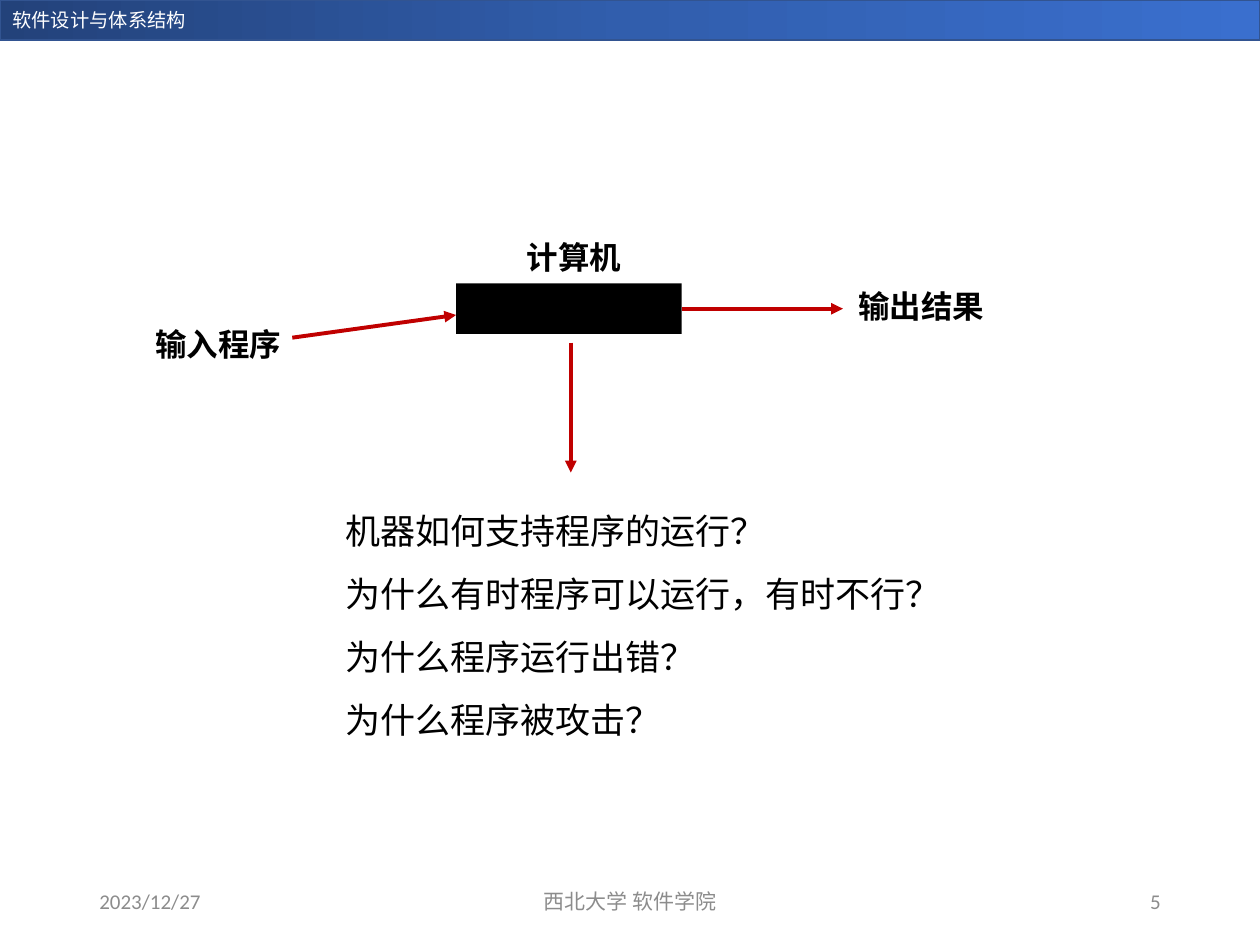
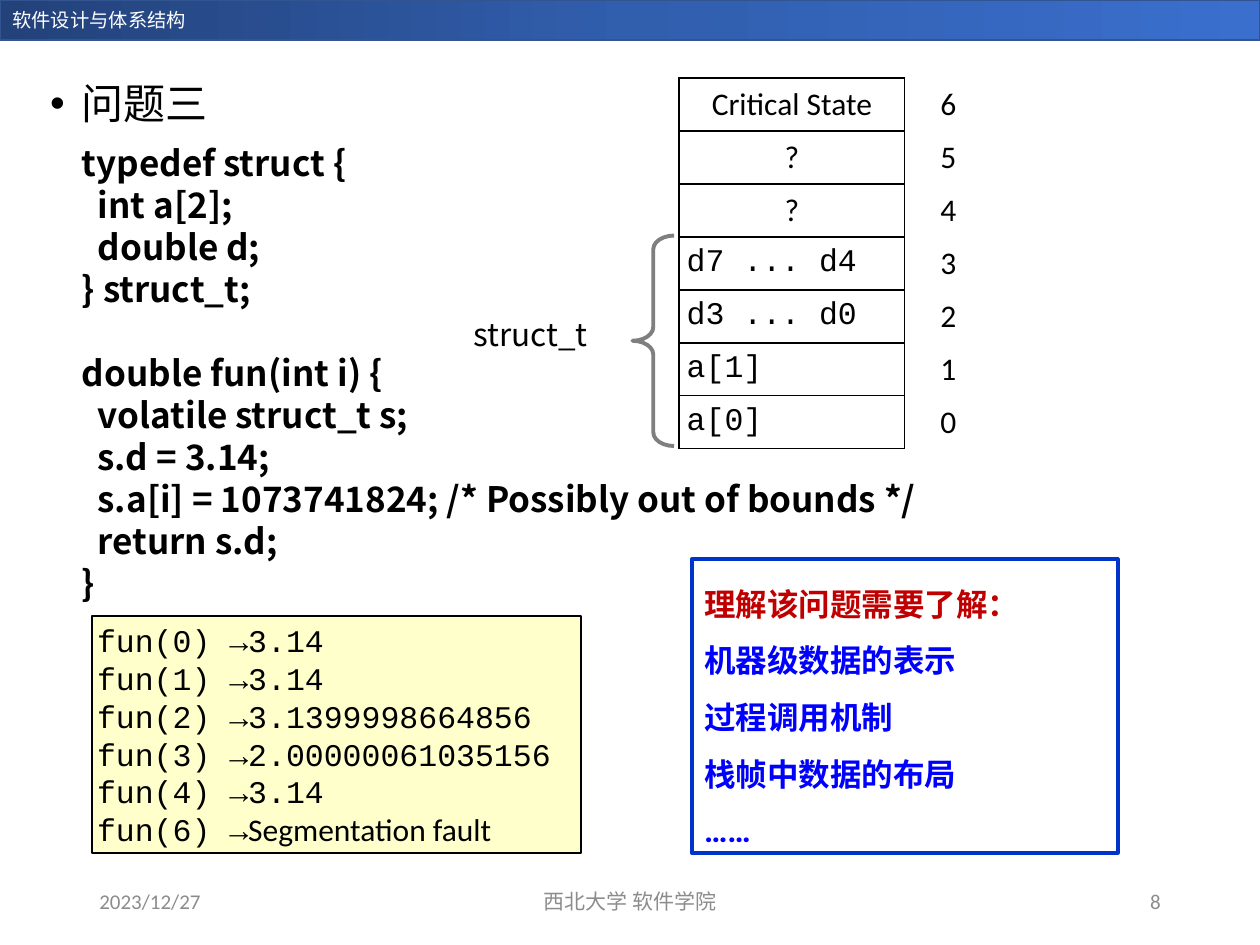
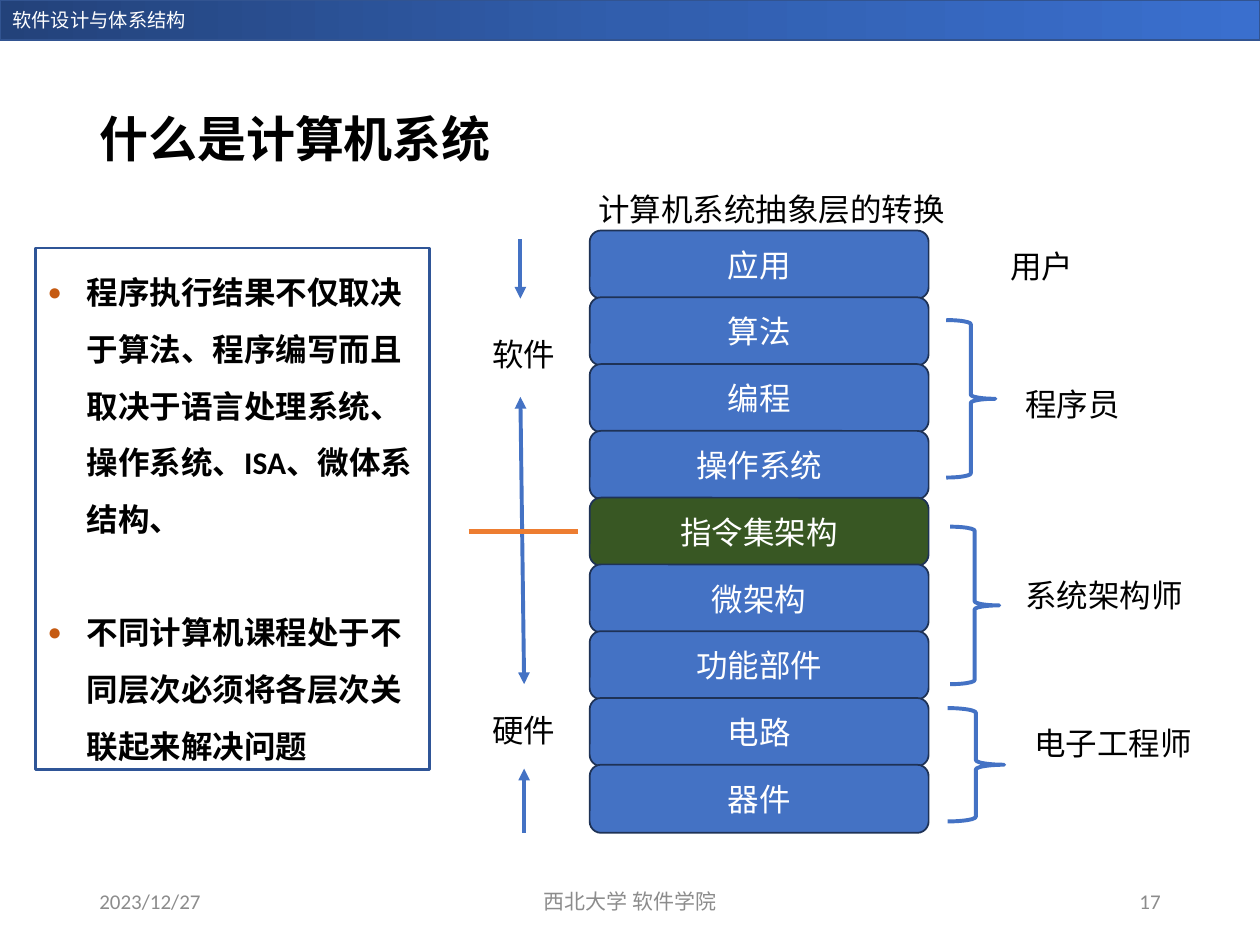
"""Builds three lecture slides on how programs run inside a computer system."""
from copy import deepcopy
from dataclasses import dataclass, replace

from lxml.etree import SubElement
from pptx import Presentation
from pptx.dml.color import RGBColor
from pptx.enum.shapes import MSO_CONNECTOR as Connector, MSO_SHAPE as Shape
from pptx.enum.text import MSO_ANCHOR as Anchor, PP_ALIGN as Align
from pptx.oxml.ns import qn
from pptx.util import Inches, Pt

BLACK = RGBColor(0x00, 0x00, 0x00)
WHITE = RGBColor(0xFF, 0xFF, 0xFF)
GRAY = RGBColor(0x8C, 0x8C, 0x8C)
BRACE_GRAY = RGBColor(0x7F, 0x7F, 0x7F)
RED = RGBColor(0xC0, 0x00, 0x00)
ORANGE = RGBColor(0xED, 0x7D, 0x31)
BULLET_ORANGE = RGBColor(0xC5, 0x5A, 0x11)
CREAM = RGBColor(0xFF, 0xFF, 0xCC)
GREEN = RGBColor(0x38, 0x57, 0x23)
BLUE = RGBColor(0x44, 0x72, 0xC4)
PURE_BLUE = RGBColor(0x00, 0x00, 0xFF)
FRAME_BLUE = RGBColor(0x00, 0x33, 0xCC)
PANEL_BLUE = RGBColor(0x2F, 0x55, 0x97)
LAYER_EDGE = RGBColor(0x1E, 0x32, 0x56)
BAND_EDGE = RGBColor(0x32, 0x54, 0x91)
BAND_STOPS = (RGBColor(0x23, 0x42, 0x7A), RGBColor(0x31, 0x5E, 0xAD), RGBColor(0x3A, 0x6F, 0xCE))

SANS, MONO, CJK, ROBOTO = "Calibri", "Courier New", "Noto Sans CJK SC", "Roboto"
COLUMNS, ROWS = 100, 75
CELL = Inches(0.1)


def grid(*lengths):
    """Turn grid units into slide lengths."""
    return [round(length * CELL) for length in lengths]


@dataclass(frozen=True)
class Style:
    """Look of a run and of the paragraph that it opens."""
    size: float = 18
    font: str = SANS
    color: RGBColor = BLACK
    bold: bool = False
    align: Align = Align.LEFT
    spacing: float = 1.0
    before: float = 0
    indent: float = 0
    hanging: float = 0
    bullet: str = ""
    bullet_color: RGBColor = BLACK
    bullet_percent: int = 100


PLAIN = Style()
FOOTER = Style(12, color=GRAY)
HEADER = Style(11, color=WHITE)
TITLE = Style(28, CJK, bold=True, spacing=0.9)
FLOW_LABEL = Style(font=CJK, bold=True, align=Align.RIGHT)
QUESTION = Style(20, CJK, spacing=1.5)
TOPIC = Style(24, CJK, spacing=0.9, indent=2.5, hanging=2.5, bullet="•")
CODE = Style(20, CJK, bold=True)
OUTPUT = Style(font=MONO)
NOTE = Style(font=ROBOTO, color=PURE_BLUE, bold=True, spacing=1.5)
POINT = Style(bold=True, spacing=1.5, indent=3.1, hanging=3.1, bullet="●",
              bullet_color=BULLET_ORANGE, bullet_percent=75)
LAYER = Style(font=CJK, color=WHITE, align=Align.CENTER)


class Deck:
    """Holds the presentation, the shared look and the current slide."""

    def __init__(self):
        self.presentation = Presentation()
        self.presentation.slide_width, self.presentation.slide_height = grid(COLUMNS, ROWS)
        self.slide = None

    def new_slide(self, number):
        """Add a slide with its band and footers."""
        self.slide = self.presentation.slides.add_slide(self.presentation.slide_layouts[6])
        self.band()
        self.text(0, 0.2, 24.9, 2.9, "软件设计与体系结构", HEADER)
        for left, width, text, align in (
            (6.9, 22.5, "2023/12/27", Align.LEFT),
            (33.1, 33.8, "西北大学 软件学院", Align.CENTER),
            (70.6, 22.5, str(number), Align.RIGHT),
        ):
            self.text(left, 69.5, width, 4, text, replace(FOOTER, align=align), Anchor.MIDDLE)

    def band(self):
        """Draw the gradient band along the top."""
        band = self.shape(Shape.RECTANGLE, 0, 0, COLUMNS, 3.2, line=BAND_EDGE)
        band.fill.gradient()
        band.fill.gradient_angle = 0
        stop_list = band.element.find(".//" + qn("a:gsLst"))
        stop_list.insert(1, deepcopy(stop_list[0]))
        for index, (stop, color) in enumerate(zip(band.fill.gradient_stops, BAND_STOPS)):
            stop.color.rgb = color
            stop.position = index / 2

    def fill_text(self, frame, paragraphs, anchor=Anchor.TOP, inset=None):
        """Fill a text frame with paragraphs, each a list of (text, style) runs."""
        frame.word_wrap = True
        frame.vertical_anchor = anchor
        if inset is not None:
            margin, = grid(inset)
            frame.margin_left = frame.margin_right = margin
            frame.margin_top = frame.margin_bottom = margin
        for index, runs in enumerate(paragraphs):
            paragraph = frame.add_paragraph() if index else frame.paragraphs[0]
            self.style_paragraph(paragraph, runs[0][1])
            for text, style in runs:
                self.add_text_run(paragraph, text, style)

    def style_paragraph(self, paragraph, style):
        """Set alignment, spacing, indent and bullet of a paragraph."""
        paragraph.alignment = style.align
        paragraph.line_spacing = style.spacing
        paragraph.space_before = Pt(style.before)
        properties = paragraph._p.get_or_add_pPr()
        indent, hanging = grid(style.indent, style.hanging)
        properties.set("marL", str(indent))
        properties.set("indent", str(-hanging))
        if style.bullet:
            color = SubElement(properties, qn("a:buClr"))
            SubElement(color, qn("a:srgbClr"), val=str(style.bullet_color))
            SubElement(properties, qn("a:buSzPct"), val=str(style.bullet_percent * 1000))
            SubElement(properties, qn("a:buFont"), typeface="Arial")
            SubElement(properties, qn("a:buChar"), char=style.bullet)

    def add_text_run(self, paragraph, text, style):
        """Add one run of text."""
        run = paragraph.add_run()
        run.text = text
        run.font.size = Pt(style.size)
        run.font.name = style.font
        run.font.bold = style.bold
        run.font.color.rgb = style.color
        SubElement(run._r.get_or_add_rPr(), qn("a:ea"), typeface=CJK)

    def text(self, left, top, width, height, text, style=PLAIN, anchor=Anchor.TOP):
        """Add a text box with one line of text."""
        self.paragraphs(left, top, width, height, [[(text, style)]], anchor)

    def paragraphs(self, left, top, width, height, paragraphs, anchor=Anchor.TOP, inset=None):
        """Add a text box with several paragraphs."""
        box = self.slide.shapes.add_textbox(*grid(left, top, width, height))
        self.fill_text(box.text_frame, paragraphs, anchor, inset)

    def shape(self, kind, left, top, width, height, fill=None, line=None, weight=1.0):
        """Add a preset shape without shadow."""
        shape = self.slide.shapes.add_shape(kind, *grid(left, top, width, height))
        shape.shadow.inherit = False
        if fill is None:
            shape.fill.background()
        else:
            shape.fill.solid()
            shape.fill.fore_color.rgb = fill
        if line is None:
            shape.line.fill.background()
        else:
            shape.line.color.rgb = line
            shape.line.width = Pt(weight)
        return shape

    def line(self, start, end, color, weight=2.25, heads=("tailEnd",)):
        """Add a straight line with arrowheads at the named ends."""
        connector = self.slide.shapes.add_connector(Connector.STRAIGHT, *grid(*start, *end))
        connector.line.color.rgb = color
        connector.line.width = Pt(weight)
        properties = connector.element.spPr
        outline = properties.find(qn("a:ln"))
        for head in heads:
            SubElement(outline, qn("a:" + head), type="triangle")
        SubElement(properties, qn("a:effectLst"))
        return connector

    def table(self, left, top, widths, row_height, rows, bordered):
        """Add a table of (text, style) cells; bordered gives the sides drawn per column."""
        height = row_height * len(rows)
        frame = self.slide.shapes.add_table(
            len(rows), len(widths), *grid(left, top, sum(widths), height))
        table = frame.table
        table.first_row = table.horz_banding = False
        for column, width in zip(table.columns, grid(*widths)):
            column.width = width
        for row, contents in zip(table.rows, rows):
            row.height, = grid(row_height)
            for cell, content, sides in zip(row.cells, contents, bordered):
                self.fill_text(cell.text_frame, [[content]])
                cell.vertical_anchor = Anchor.MIDDLE
                margin, = grid(0.6)
                cell.margin_left = cell.margin_right = margin
                cell.margin_top = cell.margin_bottom = margin
                self.borders(cell, sides)

    def borders(self, cell, sides):
        """Draw the named sides of a cell and leave the others and the fill empty."""
        properties = cell._tc.get_or_add_tcPr()
        for side in "LRTB":
            border = SubElement(properties, qn("a:ln" + side), w=str(Pt(1)))
            if side in sides:
                fill = SubElement(border, qn("a:solidFill"))
                SubElement(fill, qn("a:srgbClr"), val=str(BLACK))
            else:
                SubElement(border, qn("a:noFill"))
        cell.fill.background()


def black_box_slide(deck):
    """The computer as a black box between program and result."""
    deck.new_slide(5)
    computer = deck.shape(Shape.RECTANGLE, 36.2, 22.5, 17.9, 4, fill=BLACK)
    deck.line((23.2, 26.8), (36.2, 25), RED)
    output = deck.line((54.1, 24.5), (66.9, 24.5), RED)
    output.begin_connect(computer, 3)
    deck.line((45.3, 27.2), (45.3, 37.5), RED)
    for left, top, width, label in (
        (9.2, 25.3, 14.1, "输入程序"),
        (65, 22.3, 14.1, "输出结果"),
        (40.1, 18.4, 10.2, "计算机"),
    ):
        deck.text(left, top, width, 4, label, FLOW_LABEL)
    questions = ("机器如何支持程序的运行？", "为什么有时程序可以运行，有时不行？",
                 "为什么程序运行出错？", "为什么程序被攻击？")
    deck.paragraphs(26.4, 38.3, 60.8, 20.4, [[(question, QUESTION)] for question in questions])


def stack_slide(deck):
    """A struct on the stack and what an index out of bounds does to it."""
    deck.new_slide(8)
    deck.text(3, 6.1, 86.2, 47.6, "问题三", TOPIC)

    inner = replace(CODE, indent=1.25)
    function = replace(CODE, before=24)
    code = (
        ("typedef struct {", CODE), ("int a[2];", inner), ("double d;", inner),
        ("} struct_t;", CODE), ("double fun(int i) {", function),
        ("volatile struct_t s;", inner), ("s.d = 3.14;", inner),
        ("s.a[i] = 1073741824; /* Possibly out of bounds */", inner),
        ("return s.d;", inner), ("}", CODE),
    )
    deck.paragraphs(5.8, 10.5, 84.7, 31.1, [[line] for line in code], inset=0.7)

    results = ((0, "3.14"), (1, "3.14"), (2, "3.1399998664856"),
               (3, "2.00000061035156"), (4, "3.14"))
    calls = [[(f"fun({index}) →{value}", OUTPUT)] for index, value in results]
    calls.append([("fun(6) →", OUTPUT), ("Segmentation fault", PLAIN)])
    panel = deck.shape(Shape.RECTANGLE, 7.3, 48.9, 38.8, 18.8, CREAM, BLACK)
    deck.fill_text(panel.text_frame, calls, inset=0.4)

    centered = replace(PLAIN, align=Align.CENTER)
    numbered = replace(PLAIN, align=Align.RIGHT)
    words = [(word, centered) for word in ("Critical State", "?", "?")]
    words += [(word, OUTPUT) for word in ("d7 ... d4", "d3 ... d0", "a[1]", "a[0]")]
    rows = [(word, (str(len(words) - 1 - index), numbered)) for index, word in enumerate(words)]
    deck.table(53.9, 6.2, (17.9, 4.7), 4.17, rows, ("LRTB", "L"))

    brace = deck.shape(Shape.LEFT_BRACE, 50.2, 18.7, 3.3, 16.7, line=BRACE_GRAY, weight=2.25)
    brace.adjustments[0] = 0.33
    deck.text(36.6, 24.5, 12.1, 4, "struct_t", replace(PLAIN, font=CJK))

    heading = ("理解该问题需要了解：", replace(NOTE, color=RED))
    topics = [(topic, NOTE) for topic in ("机器级数据的表示", "过程调用机制", "栈帧中数据的布局", "……")]
    notes = deck.shape(Shape.RECTANGLE, 54.9, 44.4, 33.8, 23.3, line=FRAME_BLUE, weight=2.25)
    deck.fill_text(notes.text_frame, [[item] for item in (heading, *topics)])


def layers_slide(deck):
    """The abstraction layers of a computer system and who works on them."""
    deck.new_slide(17)
    deck.text(6.9, 4, 86.2, 14.5, "什么是计算机系统", TITLE, Anchor.MIDDLE)

    points = (
        ("程序执行结果不仅取决于算法、程序编写而且取决于语言处理系统、操作系统、ISA、微体系结构、", POINT),
        ("不同计算机课程处于不同层次必须将各层次关联起来解决问题", replace(POINT, before=32.4)),
    )
    panel = deck.shape(Shape.RECTANGLE, 2.8, 19.7, 31.3, 41.4, line=PANEL_BLUE, weight=1.5)
    deck.fill_text(panel.text_frame, [[point] for point in points])

    interface = "指令集架构"
    layers = ("应用", "算法", "编程", "操作系统", interface, "微架构", "功能部件", "电路", "器件")
    for index, name in enumerate(layers):
        fill = GREEN if name == interface else BLUE
        layer = deck.shape(Shape.ROUNDED_RECTANGLE, 46.8, 18.3 + 5.3 * index, 26.9, 5.4,
                           fill, LAYER_EDGE)
        deck.fill_text(layer.text_frame, [[(name, LAYER)]], Anchor.MIDDLE)

    deck.line((41.3, 31.5), (41.6, 54.3), BLUE, heads=("headEnd", "tailEnd"))
    deck.line((37.2, 42.2), (45.9, 42.2), ORANGE, 3, heads=())
    deck.line((41.3, 19), (41.3, 23.7), BLUE)
    deck.line((41.6, 66.1), (41.6, 61), BLUE)

    for left, top, width, label in (
        (38.1, 26.1, 9.6, "软件"),
        (38.1, 55.9, 9.6, "硬件"),
        (79.2, 19.1, 10.2, "用户"),
        (80.4, 30.1, 10.2, "程序员"),
        (80.4, 45.2, 14.8, "系统架构师"),
        (81.1, 57, 15.1, "电子工程师"),
        (46.5, 14.6, 50.1, "计算机系统抽象层的转换"),
    ):
        deck.text(left, top, width, 4, label)

    for left, top, width, height in (
        (75.1, 25.4, 3.9, 12.5), (75.4, 41.8, 3.9, 12.5), (75.2, 56.2, 4.5, 9),
    ):
        deck.shape(Shape.RIGHT_BRACE, left, top, width, height, line=BLUE, weight=2.25)


def main():
    """Build the slides and save them."""
    deck = Deck()
    black_box_slide(deck)
    stack_slide(deck)
    layers_slide(deck)
    deck.presentation.save("out.pptx")


if __name__ == "__main__":
    main()
